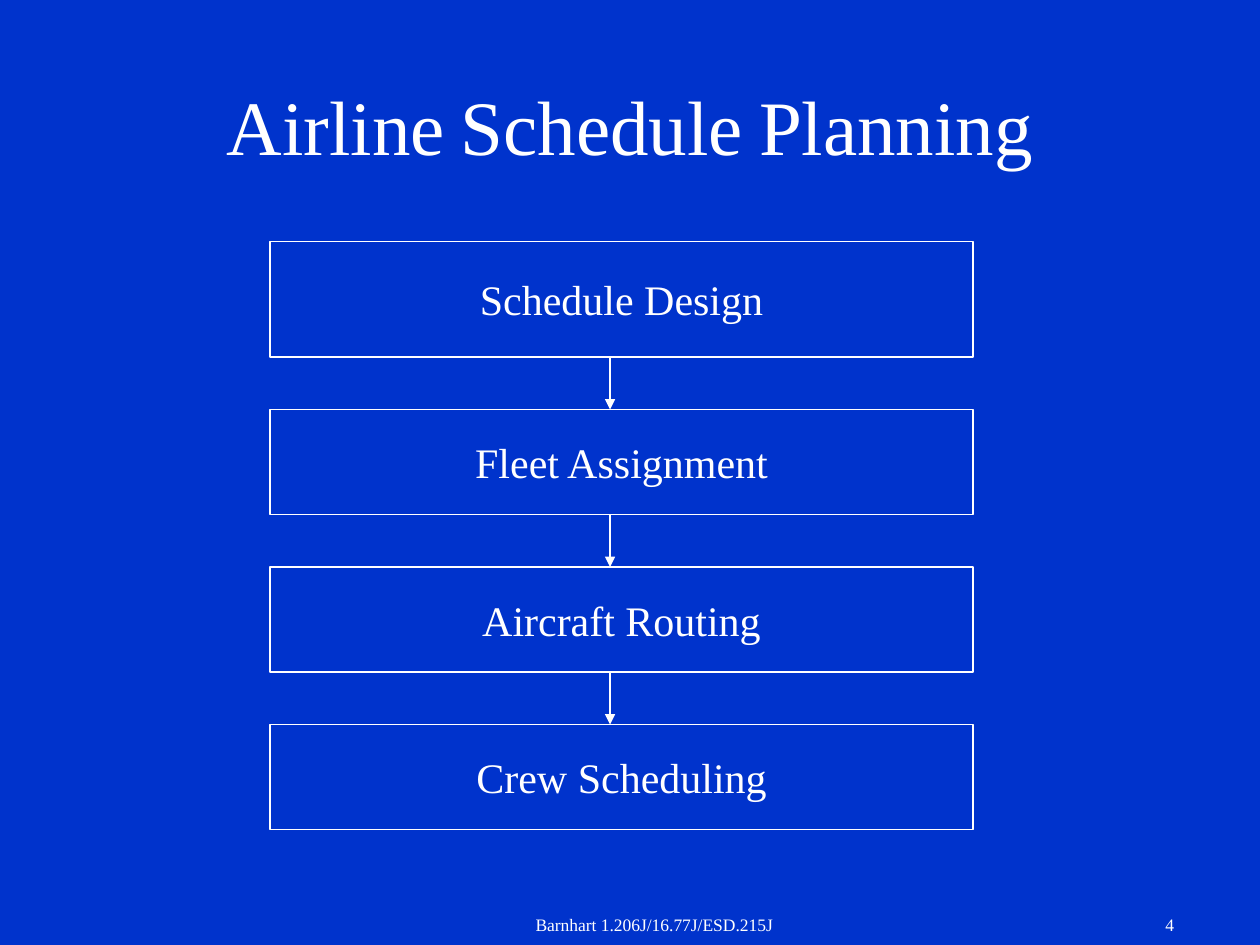
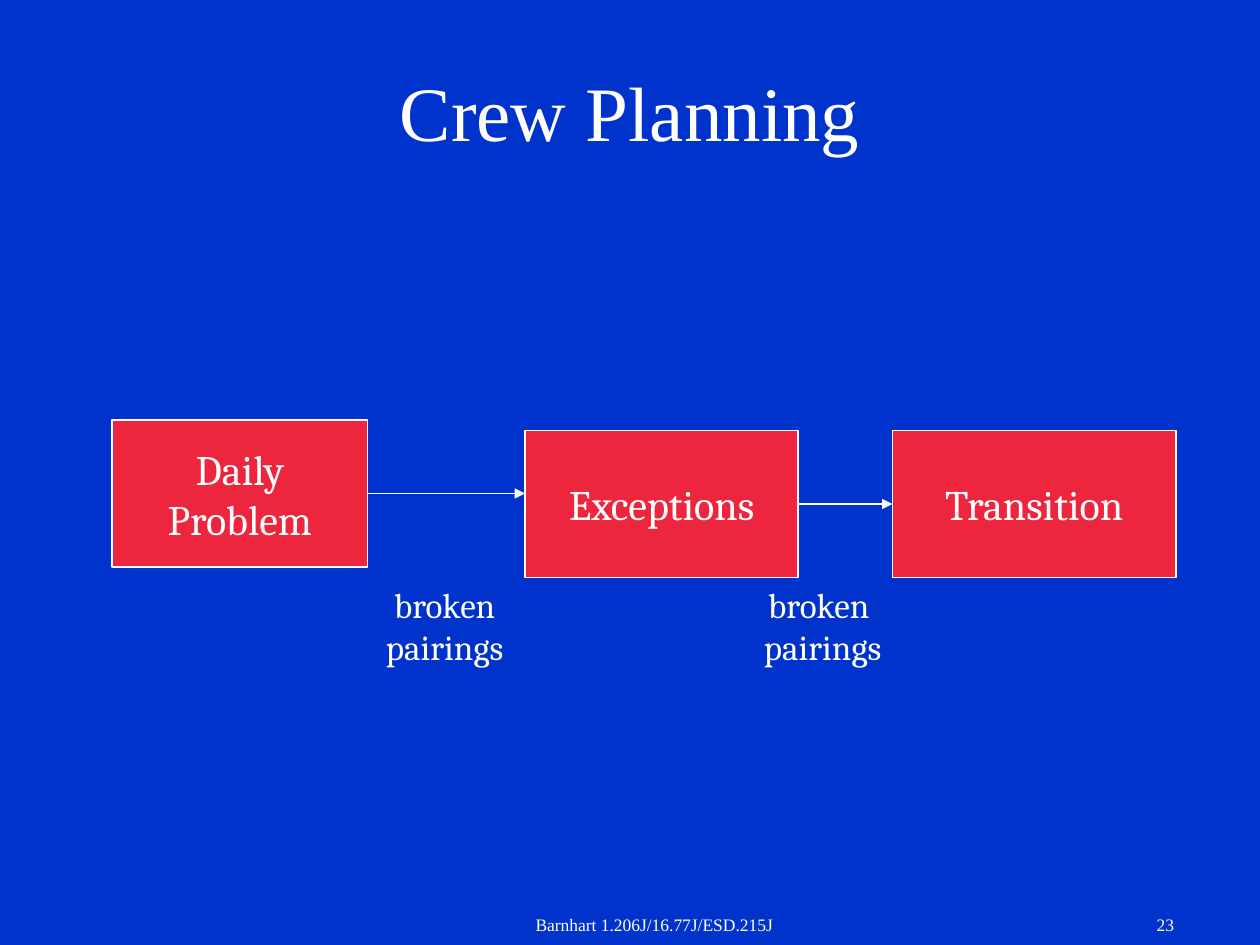
"""Build two slides on airline schedule and crew planning."""
from dataclasses import dataclass
from itertools import pairwise
from typing import Any

from lxml.etree import SubElement
from pptx import Presentation
from pptx.dml.color import RGBColor
from pptx.enum.shapes import MSO_CONNECTOR, MSO_SHAPE
from pptx.enum.text import MSO_ANCHOR, MSO_AUTO_SIZE, PP_ALIGN
from pptx.oxml.ns import qn
from pptx.util import Inches, Pt

WIDE, HIGH = Inches(10), Inches(7.5)
COLS, ROWS = 120, 90
HUES = {"back": "0033CC", "ink": "FFFFFF", "card": "ED253D"}
ROMAN, SERIF = "Times New Roman", "Cambria"
FRAME = {
    "margin_left": Inches(0.1), "margin_right": Inches(0.1),
    "margin_top": Inches(0.05), "margin_bottom": Inches(0.05),
    "auto_size": MSO_AUTO_SIZE.NONE, "word_wrap": True,
    "vertical_anchor": MSO_ANCHOR.TOP,
}
MID = {"vertical_anchor": MSO_ANCHOR.MIDDLE}
FREE = {"word_wrap": False}
GROW = FREE | {"auto_size": MSO_AUTO_SIZE.SHAPE_TO_FIT_TEXT}
NOTE = "Barnhart 1.206J/16.77J/ESD.215J"


@dataclass(frozen=True)
class Cell:
    """Hold a place on the grid in columns and rows."""
    col: float
    row: float
    wide: float
    high: float

    @property
    def right(self) -> float:
        """Give the right edge."""
        return self.col + self.wide

    @property
    def base(self) -> float:
        """Give the lower edge."""
        return self.row + self.high

    def spot(self) -> tuple[int, int, int, int]:
        """Give left, top, width and height."""
        return across(self.col), down(self.row), across(self.wide), down(self.high)


@dataclass(frozen=True)
class Box:
    """Hold a box with its words."""
    text: str
    cell: Cell


@dataclass(frozen=True)
class Style:
    """Hold a font, its size and a paragraph alignment."""
    face: str
    size: float
    align: PP_ALIGN = PP_ALIGN.CENTER


HEAD = Style(ROMAN, 44)
STEP = Style(ROMAN, 24)
CARD = Style(SERIF, 24)
LABEL = Style(SERIF, 20)
FOOT = Style(ROMAN, 10)
PAGE = Style(ROMAN, 10, PP_ALIGN.RIGHT)


def across(cols: float) -> int:
    """Turn columns into a length."""
    return round(WIDE * cols / COLS)


def down(rows: float) -> int:
    """Turn rows into a length."""
    return round(HIGH * rows / ROWS)


def tint(name: str) -> RGBColor:
    """Look up a colour."""
    return RGBColor.from_string(HUES[name])


def apply(item: Any, form: dict[str, Any]) -> None:
    """Set each format value on an item."""
    for key, value in form.items():
        setattr(item, key, value)


def dress(font: Any, style: Style, size: float) -> None:
    """Format a font."""
    apply(font, {"name": style.face, "size": Pt(size)})
    font.color.rgb = tint("ink")


def write(shape: Any, text: str, style: Style, form: dict[str, Any]) -> None:
    """Fill a shape with one paragraph per line of text."""
    frame = shape.text_frame
    frame.text = text
    apply(frame, FRAME | form)
    for para in frame.paragraphs:
        para.alignment = style.align
        for run in para.runs:
            dress(run.font, style, style.size)


def edge(line: Any) -> None:
    """Format an outline."""
    line.color.rgb = tint("ink")
    line.width = Pt(1)


def panel(slide: Any, box: Box, style: Style, fill: str = "") -> None:
    """Draw a framed box."""
    shape = slide.shapes.add_shape(MSO_SHAPE.RECTANGLE, *box.cell.spot())
    shape.shadow.inherit = False
    if fill:
        shape.fill.solid()
        shape.fill.fore_color.rgb = tint(fill)
    else:
        shape.fill.background()
    edge(shape.line)
    write(shape, box.text, style, MID | FREE)


def label(slide: Any, box: Box, style: Style, form: dict[str, Any]) -> None:
    """Draw words without a frame."""
    write(slide.shapes.add_textbox(*box.cell.spot()), box.text, style, form)


def arrow(slide: Any, start: tuple[float, float], end: tuple[float, float]) -> None:
    """Draw an arrow between two grid points."""
    ends = [func(part) for point in (start, end)
            for func, part in zip((across, down), point)]
    link = slide.shapes.add_connector(MSO_CONNECTOR.STRAIGHT, *ends)
    edge(link.line)
    SubElement(link.line._get_or_add_ln(), qn("a:tailEnd"), type="triangle")
    SubElement(link._element.spPr, qn("a:effectLst"))


def begin(deck: Any, title: str, row: float, page: int, gap: float = HEAD.size) -> Any:
    """Add a slide with its title, whose word gaps have their own size, and footer."""
    slide = deck.slides.add_slide(deck.slide_layouts.get_by_name("Title Only"))
    head = slide.shapes.title
    spot = Cell(9, row, 102, 15).spot()
    apply(head, dict(zip(("left", "top", "width", "height"), spot)))
    words = title.split()
    write(head, words[0], HEAD, MID)
    para = head.text_frame.paragraphs[0]
    for word in words[1:]:
        for text, size in ((" ", gap), (word, HEAD.size)):
            run = para.add_run()
            run.text = text
            dress(run.font, HEAD, size)
    label(slide, Box(NOTE, Cell(43.3, 86.5, 38, 3.5)), FOOT, {})
    label(slide, Box(str(page), Cell(88, 86.5, 25, 3.5)), PAGE, {})
    return slide


def schedule(deck: Any) -> None:
    """Draw the four planning steps from top to bottom."""
    slide = begin(deck, "Airline Schedule Planning", 4.4, 4, 36)
    steps = {"Schedule Design": 11, "Fleet Assignment": 10,
             "Aircraft Routing": 10, "Crew Scheduling": 10}
    row, gap, axis = 23, 5, 58.1
    boxes = []
    for text, high in steps.items():
        boxes.append(Box(text, Cell(25.7, row, 67, high)))
        row += high + gap
    for box in boxes:
        panel(slide, box, STEP)
    for box, after in pairwise(boxes):
        arrow(slide, (axis, box.cell.base), (axis, after.cell.row))


def crew(deck: Any) -> None:
    """Draw the three crew problems from left to right."""
    slide = begin(deck, "Crew Planning", 3, 23)
    boxes = (
        Box("Daily\nProblem", Cell(10.7, 40, 24.3, 14)),
        Box("Exceptions", Cell(50, 41, 26, 14)),
        Box("Transition", Cell(85, 41, 27, 14)),
    )
    for box in boxes:
        panel(slide, box, CARD, "card")
    for box, after in pairwise(boxes):
        row = box.cell.row + box.cell.high / 2
        arrow(slide, (box.cell.right, row), (after.cell.col, row))
    for col, text in ((34.6, "broken\npairings"), (70.6, "broken \npairings")):
        label(slide, Box(text, Cell(col, 55, 15.5, 9.2)), LABEL, GROW)


def main() -> None:
    """Build and save the deck."""
    deck = Presentation()
    apply(deck, {"slide_width": WIDE, "slide_height": HIGH})
    fill = deck.slide_master.background.fill
    fill.solid()
    fill.fore_color.rgb = tint("back")
    schedule(deck)
    crew(deck)
    deck.save("out.pptx")


if __name__ == "__main__":
    main()
